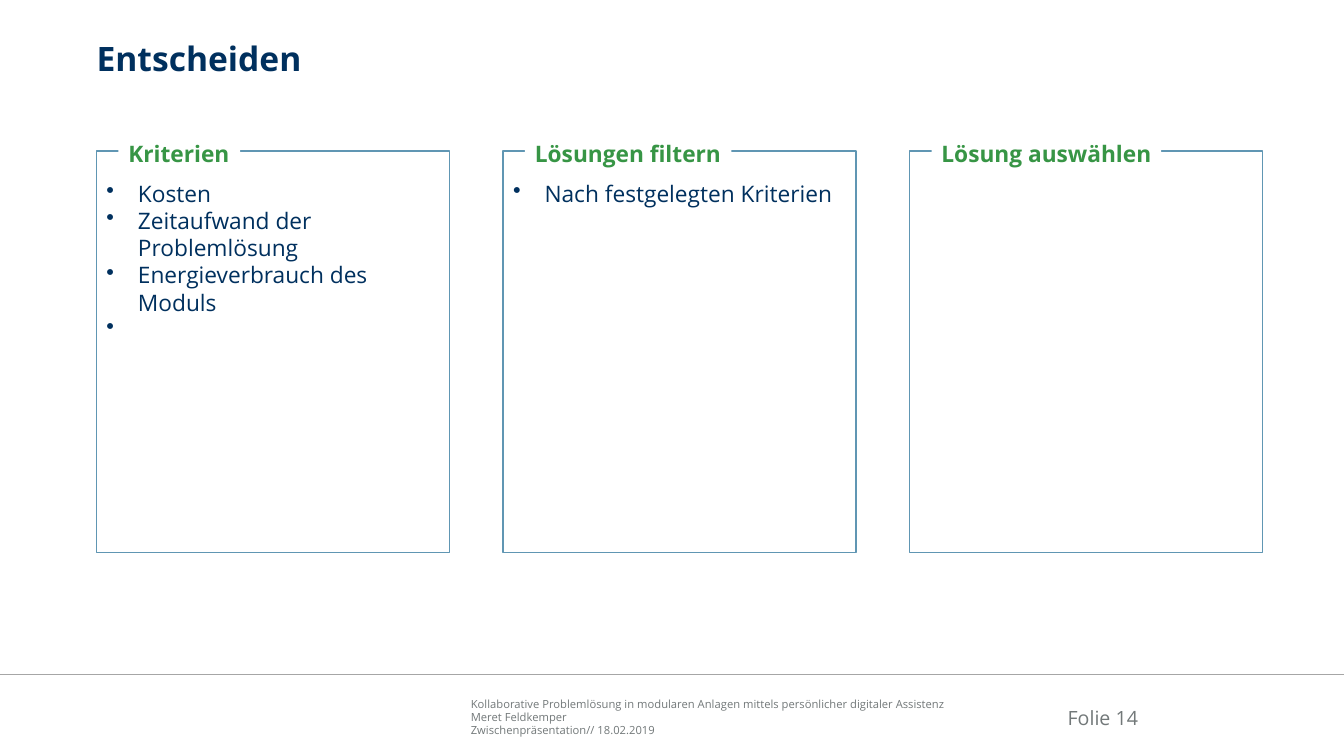
"""Build the slide "Entscheiden" with three framed columns."""
from lxml import etree
from pptx import Presentation
from pptx.dml.color import RGBColor as Rgb
from pptx.enum import shapes, text
from pptx.oxml import ns
from pptx.util import Pt

TITLE = "Entscheiden"
COLUMNS = [
    ("Kriterien", 87, ["Kosten", "Zeitaufwand der Problemlösung",
                       "Energieverbrauch des Moduls", " "]),
    ("Lösungen filtern", 147.5, ["Nach festgelegten Kriterien"]),
    ("Lösung auswählen", 164, []),
]
FOOTER = [
    "Kollaborative Problemlösung in modularen Anlagen mittels persönlicher digitaler Assistenz",
    "Meret Feldkemper",
    "Zwischenpräsentation// 18.02.2019",
]
PAGE = "Folie 14"

THEME = {
    "font": "Open Sans",
    "navy": Rgb.from_string("00305E"), "green": Rgb.from_string("379545"),
    "blue": Rgb.from_string("6096B3"), "grey": Rgb.from_string("727879"),
    "rule": Rgb.from_string("A6A6A6"), "white": Rgb.from_string("FFFFFF"),
    "title": 24, "body": 16.2, "page": 14, "foot": 8,
}
WIDTH, HEIGHT = 960, 540
LEFT, TOP, STEP = 69, 108, 290.4
FRAME_W, FRAME_H = 252, 286.8
LABEL_DX, LABEL_DY, LABEL_H = 15.6, -13.5, 29.5
INDENT = 22.5
RULE_Y = 482

TOP_ROW, MIDDLE, BOTTOM = (text.MSO_ANCHOR.TOP, text.MSO_ANCHOR.MIDDLE,
                           text.MSO_ANCHOR.BOTTOM)


def write(shape, lines, size, color, bold=False, anchor=TOP_ROW,
          inset=(0, 0, 0, 0), align=text.PP_ALIGN.LEFT, bullet=False):
    frame = shape.text_frame
    frame.word_wrap = True
    frame.vertical_anchor = anchor
    (frame.margin_left, frame.margin_top,
     frame.margin_right, frame.margin_bottom) = map(Pt, inset)
    for i, line in enumerate(lines):
        para = frame.paragraphs[0] if i == 0 else frame.add_paragraph()
        para.add_run().text = line
        para.alignment = align
        font = para.font
        font.name, font.size, font.bold = THEME["font"], Pt(THEME[size]), bold
        font.color.rgb = THEME[color]
        if bullet:
            props = para._p.get_or_add_pPr()
            props.set("marL", str(Pt(INDENT)))
            props.set("indent", str(-Pt(INDENT)))
            mark = etree.Element(ns.qn("a:buChar"), char="•")
            props.insert_element_before(mark, "a:tabLst", "a:defRPr", "a:extLst")


def add_text(slide, box, lines, size, color, **style):
    write(slide.shapes.add_textbox(*map(Pt, box)), lines, size, color, **style)


def add_box(group, box, line=None):
    shape = group.shapes.add_shape(shapes.MSO_SHAPE.RECTANGLE, *map(Pt, box))
    shape.shadow.inherit = False
    shape.fill.solid()
    shape.fill.fore_color.rgb = THEME["white"]
    if line:
        shape.line.color.rgb = THEME[line]
        shape.line.width = Pt(1)
    else:
        shape.line.fill.background()
    return shape


def add_column(slide, i, label, width, items):
    group = slide.shapes.add_group_shape()
    x = LEFT + i * STEP
    frame = add_box(group, (x, TOP, FRAME_W, FRAME_H), "blue")
    write(frame, items, "body", "navy", inset=(7.2, 20.2, 7.2, 3.6), bullet=True)
    head = add_box(group, (x + LABEL_DX, TOP + LABEL_DY, width, LABEL_H))
    write(head, [label], "body", "green", bold=True, anchor=MIDDLE,
          inset=(7.2, 3.6, 7.2, 3.6))


def add_rule(slide):
    rule = slide.shapes.add_connector(
        shapes.MSO_CONNECTOR.STRAIGHT, 0, Pt(RULE_Y), Pt(WIDTH), Pt(RULE_Y))
    rule.line.color.rgb = THEME["rule"]
    rule.line.width = Pt(1)
    etree.SubElement(rule._element.spPr, ns.qn("a:effectLst"))


def main():
    deck = Presentation()
    deck.slide_width, deck.slide_height = Pt(WIDTH), Pt(HEIGHT)
    slide = deck.slides.add_slide(deck.slide_layouts[6])
    add_text(slide, (336.3, 497.5, 353.5, 29), FOOTER, "foot", "grey", anchor=BOTTOM)
    add_rule(slide)
    add_text(slide, (741.5, 494.6, 71.5, 36), [PAGE], "page", "grey",
             anchor=MIDDLE, align=text.PP_ALIGN.RIGHT)
    add_text(slide, (LEFT, 27.4, 833, 54), [TITLE], "title", "navy", bold=True)
    for i, column in enumerate(COLUMNS):
        add_column(slide, i, *column)
    deck.save("out.pptx")


if __name__ == "__main__":
    main()
